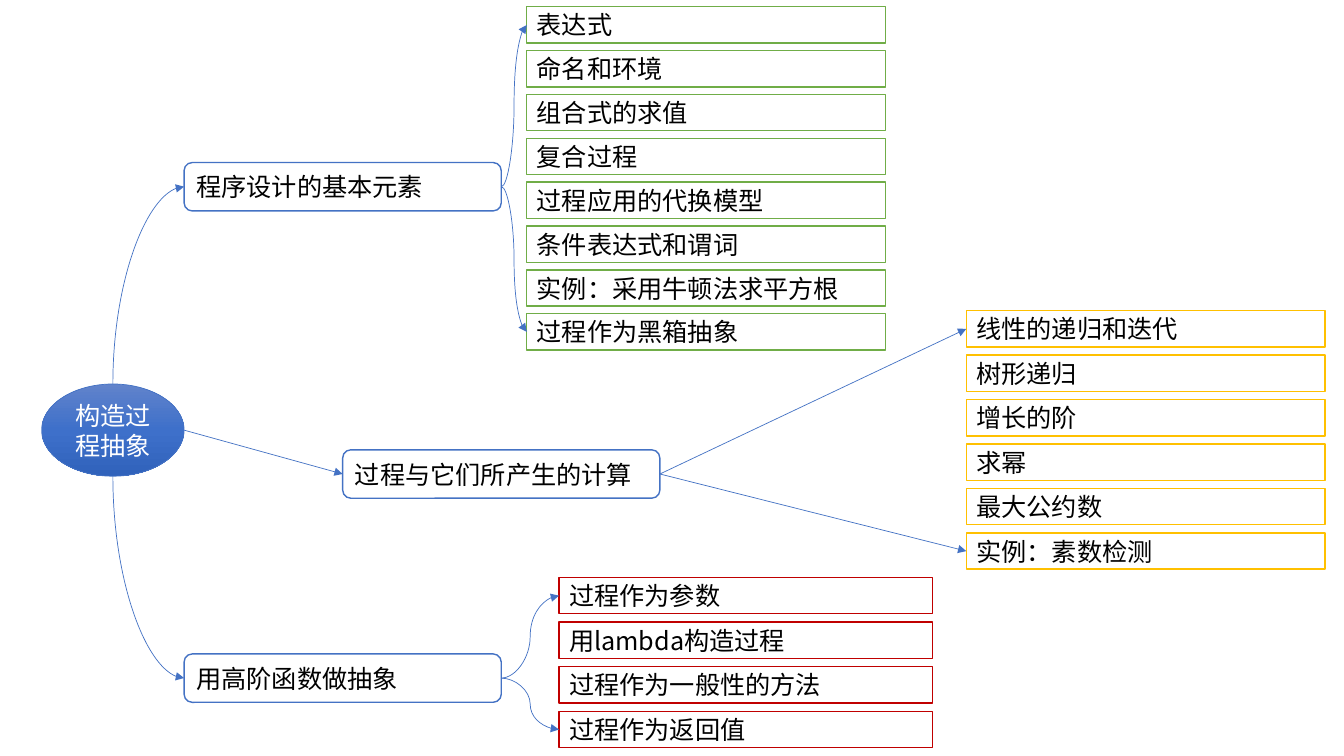
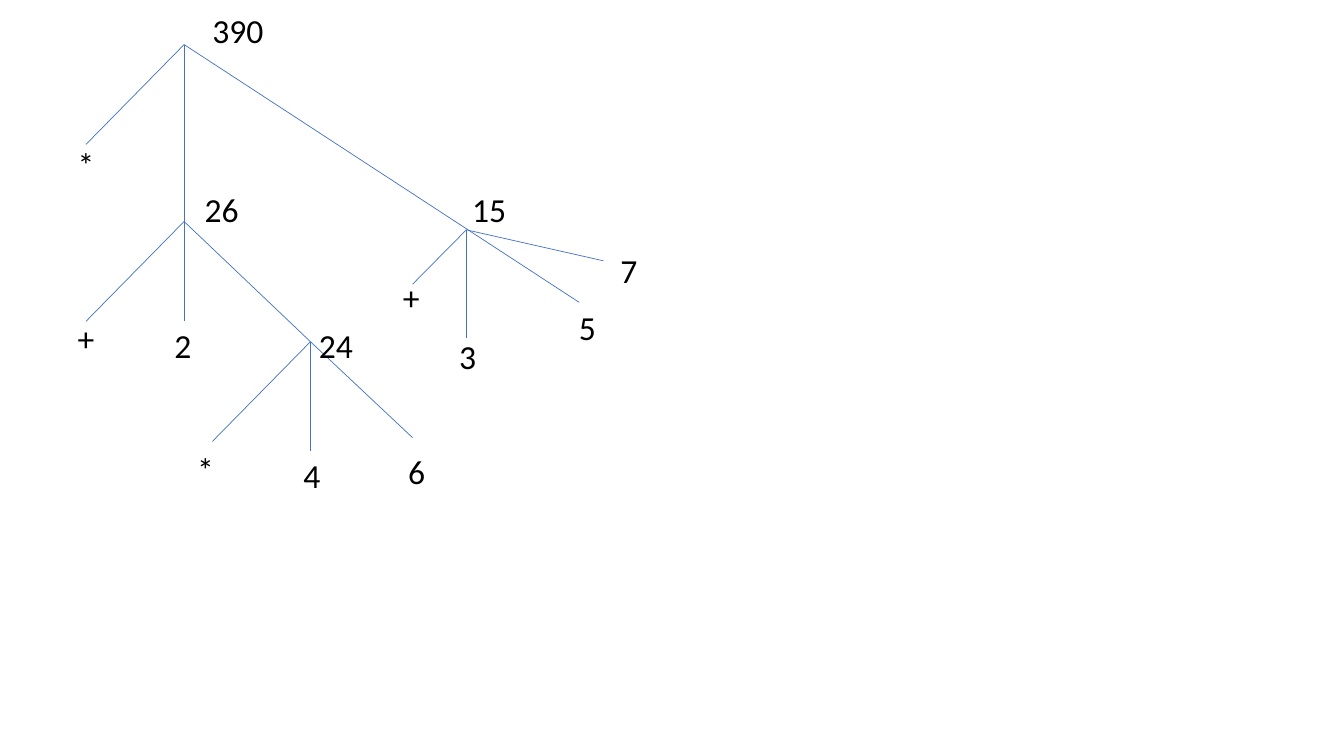
from copy import deepcopy

from lxml.etree import SubElement
from pptx import Presentation
from pptx.dml.color import RGBColor
from pptx.enum.shapes import MSO_CONNECTOR as CONN, MSO_SHAPE as SHAPE
from pptx.enum.text import MSO_ANCHOR as ANCHOR, PP_ALIGN as ALIGN
from pptx.oxml.ns import qn
from pptx.util import Inches, Pt

WIDTH, HEIGHT = Inches(13.333), Inches(7.5)
BLUE, GREEN, GOLD, RED = "4472C4", "70AD47", "FFC000", "C00000"
WHITE, BLACK = "FFFFFF", "000000"
ROOT_STOPS = [(0, "6183CB"), (0.5, "3E70CA"), (1, "3062BB")]
CJK, LATIN = "Noto Sans CJK SC", "Calibri"
TOP, LEFT, RIGHT = 0, 1, 3
OVAL_TOP, OVAL_BOTTOM, OVAL_RIGHT = 0, 4, 6
TOPIC_W, TOPIC_H, LEAF_H = 23.6, 6.4, 4.8
LABEL_W, LABEL_H = 7.4, 6.7

ROOT = ("构造过程抽象", 3.1, 50.8, 10.6, 12.2)

TOPICS = [
    {"text": "程序设计的基本元素", "at": (13.7, 21.5), "curved": True,
     "color": GREEN, "left": 39.2, "width": 26.7, "tops": (0.9, 41.5),
     "leaves": ["表达式", "命名和环境", "组合式的求值", "复合过程",
                "过程应用的代换模型", "条件表达式和谓词",
                "实例：采用牛顿法求平方根", "过程作为黑箱抽象"]},
    {"text": "过程与它们所产生的计算", "at": (25.5, 59.5), "curved": False,
     "color": GOLD, "left": 71.9, "width": 26.7, "tops": (41.1, 70.5),
     "leaves": ["线性的递归和迭代", "树形递归", "增长的阶", "求幂",
                "最大公约数", "实例：素数检测"]},
    {"text": "用高阶函数做抽象", "at": (13.7, 86.5), "curved": True,
     "color": RED, "left": 41.6, "width": 27.8, "tops": (76.4, 94.1),
     "leaves": ["过程作为参数", "用lambda构造过程", "过程作为一般性的方法",
                "过程作为返回值"]},
]

BRANCHES = [
    ((13.7, 5.9), [(6.4, 19.1), (43.1, 40), (13.7, 42.5)]),
    ((13.7, 29.3), [(6.4, 42.5), (23.1, 45.2)]),
    ((23.1, 45.2), [(15.8, 58.4), (30.7, 57.9), (23.1, 59.6)]),
    ((34.7, 30.4), [(30.7, 37.6), (44.9, 34.5), (34.7, 44.7)]),
]

LABELS = [
    ("390", 17.7, 4), ("*", 6.4, 21.7), ("26", 16.5, 27.6),
    ("15", 36.4, 27.6), ("+", 6.4, 44.7), ("2", 13.6, 45.6),
    ("24", 25, 45.6), ("*", 15.3, 62), ("4", 23.2, 62.9),
    ("6", 31, 62.3), ("+", 30.6, 39.3), ("3", 34.8, 47.1),
    ("5", 43.7, 43.3), ("7", 46.8, 35.7),
]


def rgb(value):
    """Turn a hex string into a colour."""
    return RGBColor.from_string(value)


def scale(x, y):
    """Turn percentages of the slide's width and height into lengths."""
    return round(WIDTH * x / 100), round(HEIGHT * y / 100)


def write(s, text, size, font, color, align):
    """Fill a shape with one vertically centred paragraph."""
    tf = s.text_frame
    tf.text = text
    tf.word_wrap = True
    tf.vertical_anchor = ANCHOR.MIDDLE
    p = tf.paragraphs[0]
    p.alignment = align
    r = p.runs[0]
    r.font.size = Pt(size)
    r.font.name = font
    r.font.color.rgb = rgb(color)
    SubElement(r.font._element, qn("a:ea")).set("typeface", font)


def add_box(sp, kind, text, x, y, w, h, line, color=BLACK, align=ALIGN.LEFT,
            weight=1):
    """Add a white outlined shape with text."""
    s = sp.add_shape(kind, *scale(x, y), *scale(w, h))
    s.shadow.inherit = False
    s.fill.solid()
    s.fill.fore_color.rgb = rgb(WHITE)
    s.line.color.rgb = rgb(line)
    s.line.width = Pt(weight)
    write(s, text, 18, CJK, color, align)
    return s


def add_root(sp):
    """Add the gradient oval at the root of the map."""
    s = add_box(sp, SHAPE.OVAL, *ROOT, BLUE, WHITE, ALIGN.CENTER, 0.5)
    s.fill.gradient()
    s.fill.gradient_angle = 270
    stops = s._element.spPr.find(".//" + qn("a:gsLst"))
    stops.insert(1, deepcopy(stops[0]))
    for stop, (position, color) in zip(s.fill.gradient_stops, ROOT_STOPS):
        stop.position = position
        stop.color.rgb = rgb(color)
    return s


def add_line(sp, start, end, kind=CONN.STRAIGHT):
    """Add a thin blue connector between two points given in lengths."""
    s = sp.add_connector(kind, *start, *end)
    s.line.color.rgb = rgb(BLUE)
    s.line.width = Pt(0.5)
    SubElement(s._element.spPr, qn("a:effectLst"))
    return s


def site_point(s, side):
    """Return the point of a shape at a side given as shares of its size."""
    fx, fy = side
    return round(s.left + s.width * fx), round(s.top + s.height * fy)


def link(sp, source, target, kind=CONN.STRAIGHT, arrow="tailEnd"):
    """Glue an arrow between two (shape, site, side) ends."""
    s = add_line(sp, site_point(source[0], source[2]),
                 site_point(target[0], target[2]), kind)
    glue = s._element.nvCxnSpPr.cNvCxnSpPr
    for tag, (shape, site, _) in (("a:stCxn", source), ("a:endCxn", target)):
        end = SubElement(glue, qn(tag))
        end.set("id", str(shape.shape_id))
        end.set("idx", str(site))
    SubElement(s.line._get_or_add_ln(), qn("a:" + arrow)).set("type", "triangle")
    return s


def link_root(sp, root, topic, curved):
    """Join the root to a topic, by a quarter curve if asked."""
    end = (topic, LEFT, (0, 0.5))
    if not curved:
        link(sp, (root, OVAL_RIGHT, (1, 0.5)), end)
        return
    above = topic.top < root.top
    site, side = (OVAL_TOP, (0.5, 0)) if above else (OVAL_BOTTOM, (0.5, 1))
    s = link(sp, end, (root, site, side), CONN.CURVE, "headEnd")
    s._element.spPr.find(qn("a:prstGeom")).set("prst", "curvedConnector2")


def add_leaves(sp, topic):
    """Stack a topic's leaves at equal gaps and return them."""
    first, last = topic["tops"]
    gap = (last - first) / (len(topic["leaves"]) - 1)
    return [add_box(sp, SHAPE.RECTANGLE, text, topic["left"], first + i * gap,
                    topic["width"], LEAF_H, topic["color"])
            for i, text in enumerate(topic["leaves"])]


def add_topic(sp, root, topic):
    """Add a topic with its leaves and arrows."""
    box = add_box(sp, SHAPE.ROUNDED_RECTANGLE, topic["text"], *topic["at"],
                  TOPIC_W, TOPIC_H, BLUE)
    leaves = add_leaves(sp, topic)
    kind = CONN.CURVE if topic["curved"] else CONN.STRAIGHT
    for leaf in (leaves[0], leaves[-1]):
        link(sp, (box, RIGHT, (1, 0.5)), (leaf, LEFT, (0, 0.5)), kind)
    link_root(sp, root, box, topic["curved"])


def add_label(sp, text, x, y):
    """Add a tree label centred on a point."""
    s = sp.add_textbox(*scale(x - LABEL_W / 2, y - LABEL_H / 2),
                       *scale(LABEL_W, LABEL_H))
    write(s, text, 24, LATIN, BLACK, ALIGN.CENTER)


def build_map(sp):
    """Draw the map of topics."""
    root = add_root(sp)
    for topic in TOPICS:
        add_topic(sp, root, topic)


def build_tree(sp):
    """Draw the evaluation tree."""
    for start, ends in BRANCHES:
        for end in ends:
            add_line(sp, scale(*start), scale(*end))
    for label in LABELS:
        add_label(sp, *label)


def main():
    """Build and save the presentation."""
    prs = Presentation()
    prs.slide_width, prs.slide_height = WIDTH, HEIGHT
    for build in (build_map, build_tree):
        build(prs.slides.add_slide(prs.slide_layouts[6]).shapes)
    prs.save("out.pptx")


if __name__ == "__main__":
    main()
